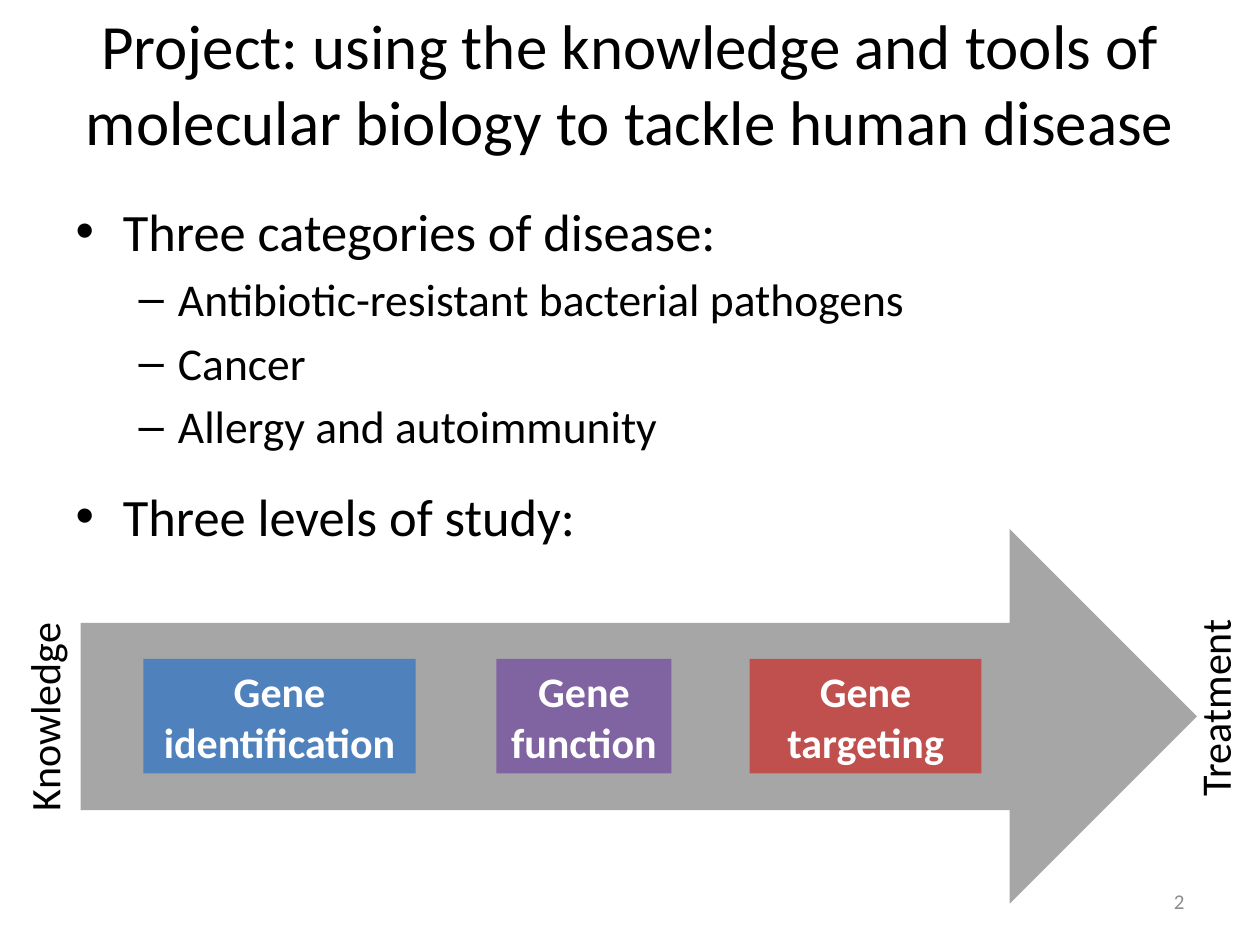
"""Build the slide on the molecular biology project."""
from pptx import Presentation
from pptx.dml.color import RGBColor
from pptx.enum.shapes import MSO_SHAPE
from pptx.enum.text import MSO_ANCHOR, MSO_AUTO_SIZE, PP_ALIGN
from pptx.util import Pt

RECT, ARROW = MSO_SHAPE.RECTANGLE, MSO_SHAPE.RIGHT_ARROW
TOP, MIDDLE = MSO_ANCHOR.TOP, MSO_ANCHOR.MIDDLE
LEFT, CENTER, RIGHT = PP_ALIGN.LEFT, PP_ALIGN.CENTER, PP_ALIGN.RIGHT
NO_FIT = MSO_AUTO_SIZE.NONE

COLORS = {
    "text": "000000", "light": "FFFFFF", "number": "8C8C8C", "arrow": "A6A6A6",
    "blue": "4F81BD", "purple": "8064A2", "red": "C0504D",
}
BULLETS = [
    ("Three categories of disease:", 0),
    ("Antibiotic-resistant bacterial pathogens", 1),
    ("Cancer", 1),
    ("Allergy and autoimmunity", 1),
    ("Three levels of study:", 0),
]
STAGES = [
    ("Gene identification", 82, 155.5, "blue"),
    ("Gene function", 283.7, 100, "purple"),
    ("Gene targeting", 428.4, 132.5, "red"),
]


def rgb(name):
    return RGBColor.from_string(COLORS[name])


def place(sp, left, top, width, height):
    sp.left, sp.top, sp.width, sp.height = map(Pt, (left, top, width, height))


def write(p, text, size=24, color="text", bold=False, align=LEFT):
    p.alignment = align
    r = p.add_run()
    r.text = text
    r.font.name = "Calibri"
    r.font.size = Pt(size)
    r.font.bold = bold
    r.font.color.rgb = rgb(color)


def frame(sp, anchor=TOP):
    tf = sp.text_frame
    tf.word_wrap = True
    tf.auto_size = NO_FIT
    tf.vertical_anchor = anchor
    return tf


def add_title(s, text):
    sp = s.shapes.title
    place(sp, 18, 2, 684, 90)
    write(frame(sp, MIDDLE).paragraphs[0], text, size=36, align=CENTER)


def add_bullets(s, items):
    sp = s.placeholders[1]
    place(sp, 36, 110, 648, 216)
    tf = frame(sp)
    for i, (text, level) in enumerate(items):
        p = tf.add_paragraph() if i else tf.paragraphs[0]
        p.level = level
        write(p, text, size=26 if level else 30)
    tf.paragraphs[0].space_before = Pt(0)
    tf.paragraphs[-2].space_after = Pt(12)


def add_block(s, kind, box, color):
    sp = s.shapes.add_shape(kind, *map(Pt, box))
    sp.shadow.inherit = False
    sp.fill.solid()
    sp.fill.fore_color.rgb = rgb(color)
    sp.line.fill.background()
    return sp


def add_label(s, text, box, rotation=0, anchor=TOP, **fmt):
    sp = s.shapes.add_textbox(*map(Pt, box))
    sp.rotation = rotation
    write(frame(sp, anchor).paragraphs[0], text, **fmt)


def main():
    prs = Presentation()
    prs.slide_width, prs.slide_height = Pt(720), Pt(540)
    s = prs.slides.add_slide(prs.slide_layouts[1])
    add_title(s, "Project: using the knowledge and tools of "
                 "molecular biology to tackle human disease")
    add_bullets(s, BULLETS)
    add_label(s, "2", (516, 500.5, 168, 28.75), anchor=MIDDLE,
              size=12, color="number", align=RIGHT)
    add_block(s, ARROW, (46, 302.4, 638, 214), "arrow")
    for text, left, width, color in STAGES:
        sp = add_block(s, RECT, (left, 376.5, width, 65.5), color)
        write(frame(sp, MIDDLE).paragraphs[0], text,
              color="light", bold=True, align=CENTER)
    add_label(s, "Knowledge", (-75.6, 352, 201, 36), rotation=270)
    add_label(s, "Treatment", (593.3, 343.5, 201, 36), rotation=270)
    prs.save("out.pptx")


if __name__ == "__main__":
    main()
